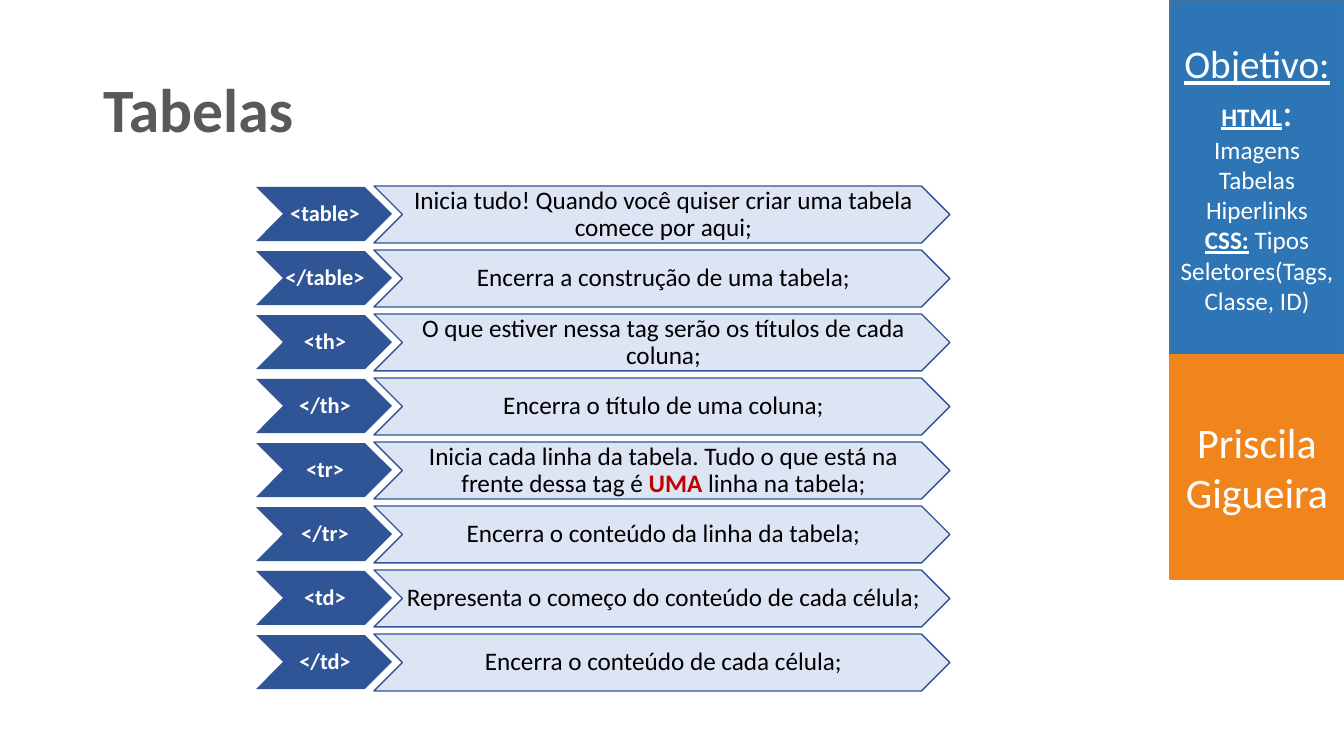
import pptx
import pptx.util
import pptx.oxml.ns
import lxml.etree
from pptx.dml.color import RGBColor
from pptx.enum.shapes import MSO_SHAPE
from pptx.enum.text import MSO_ANCHOR, MSO_AUTO_SIZE, PP_ALIGN

SCALE = 914400 / 100.8
COLORS = {
    "white": "FFFFFF", "black": "000000", "title": "595959", "red": "C00000",
    "blue": "2E75B6", "blue_line": "43739E", "orange": "F0851D",
    "tag": "2F5597", "description": "DAE3F3",
}


def add_box(kind, bounds, fill, line):
    box = page.shapes.add_shape(kind, *[round(value * SCALE) for value in bounds])
    box.shadow.inherit = False
    box.fill.solid()
    box.fill.fore_color.rgb = RGBColor.from_string(COLORS[fill])
    if line:
        box.line.color.rgb = RGBColor.from_string(COLORS[line])
        box.line.width = pptx.util.Pt(1)
    else:
        box.line.fill.background()
    box.text_frame.word_wrap = True
    box.text_frame.vertical_anchor = MSO_ANCHOR.MIDDLE
    return box


def write(para, spans, align=PP_ALIGN.CENTER):
    para.alignment = align
    for text, size, color, bold, underline in spans:
        if text == "\n":
            para.add_line_break()
            continue
        span = para.add_run()
        span.text = text
        span.font.name = "Calibri"
        span.font.size = pptx.util.Pt(size)
        span.font.color.rgb = RGBColor.from_string(COLORS[color])
        span.font.bold = bold
        span.font.underline = underline


deck = pptx.Presentation()
deck.slide_width = round(1344 * SCALE)
deck.slide_height = round(756 * SCALE)
page = deck.slides.add_slide(deck.slide_layouts[5])

title = page.shapes.title
title.left, title.top, title.width, title.height = [
    round(value * SCALE) for value in (93, 40, 1024, 146)]
title.text_frame.auto_size = MSO_AUTO_SIZE.NONE
title.text_frame.vertical_anchor = MSO_ANCHOR.MIDDLE
title.text_frame.paragraphs[0].line_spacing = 0.9
write(title.text_frame.paragraphs[0], [("Tabelas", 44, "title", True, False)], PP_ALIGN.LEFT)

goal = add_box(MSO_SHAPE.RECTANGLE, (1170, 0, 174, 355), "blue", "blue_line")
write(goal.text_frame.paragraphs[0], [
    ("Objetivo:", 28, "white", False, True),
    ("\n", 28, "white", False, False),
    ("HTML", 18, "white", True, True),
    (": ", 28, "white", False, False),
    ("Imagens Tabelas Hiperlinks", 18, "white", False, False),
    ("\n", 18, "white", False, False),
    ("CSS:", 18, "white", True, True),
    (" Tipos Seletores(Tags, Classe, ID)", 18, "white", False, False),
])
author = add_box(MSO_SHAPE.RECTANGLE, (1170, 355, 174, 224), "orange", "orange")
write(author.text_frame.paragraphs[0], [("Priscila Gigueira", 30, "white", False, False)])

rows = [
    ("<table>", ["Inicia tudo! Quando você quiser criar uma tabela comece por aqui;"]),
    ("</table>", ["Encerra a construção de uma tabela;"]),
    ("<th>", ["O que estiver nessa tag serão os títulos de cada coluna;"]),
    ("</th>", ["Encerra o título de uma coluna;"]),
    ("<tr>", ["Inicia cada linha da tabela. Tudo o que está na frente dessa tag é ",
              "UMA", " linha na tabela;"]),
    ("</tr>", ["Encerra o conteúdo da linha da tabela;"]),
    ("<td>", ["Representa o começo do conteúdo de cada célula;"]),
    ("</td>", ["Encerra o conteúdo de cada célula;"]),
]
for index, (tag, pieces) in enumerate(rows):
    top = 186 + 64 * index
    tag_box = add_box(MSO_SHAPE.CHEVRON, (256, top + 1, 136, 54), "tag", None)
    description_box = add_box(MSO_SHAPE.CHEVRON, (374, top, 576, 57), "description", "tag")
    color = description_box.fill._xPr.find(".//" + pptx.oxml.ns.qn("a:srgbClr"))
    lxml.etree.SubElement(color, pptx.oxml.ns.qn("a:alpha"), val="90000")
    tag_spans = [(tag, 16, "white", True, False)]
    description_spans = [
        (piece, 18, "red" if piece == "UMA" else "black", piece == "UMA", False)
        for piece in pieces]
    for box, spans, inset in ((tag_box, tag_spans, 2), (description_box, description_spans, 3)):
        frame = box.text_frame
        frame.margin_left = round(inset * SCALE)
        frame.margin_top = frame.margin_bottom = round(SCALE)
        frame.margin_right = 0
        frame.paragraphs[0].line_spacing = 0.9
        write(frame.paragraphs[0], spans)

deck.save("out.pptx")
